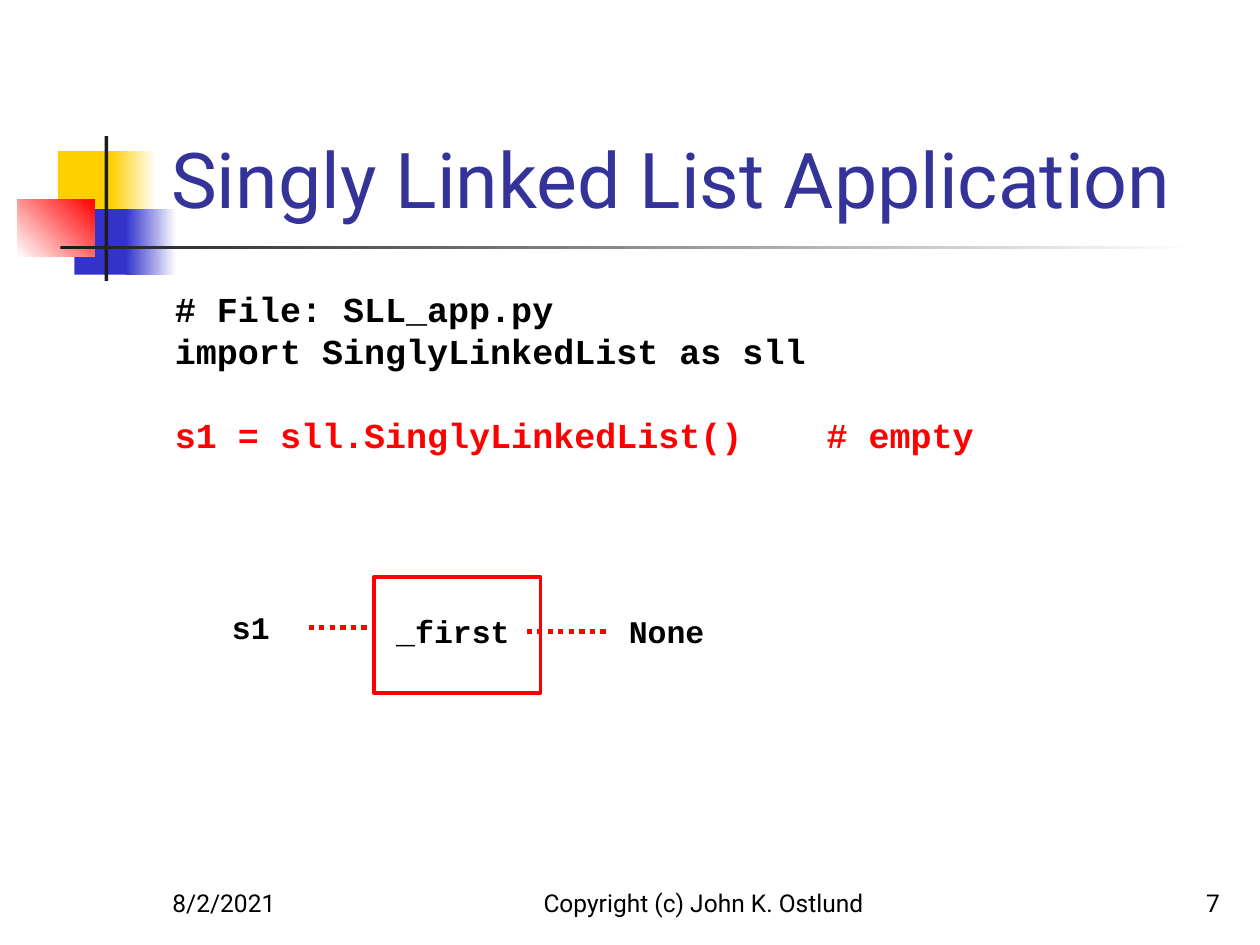
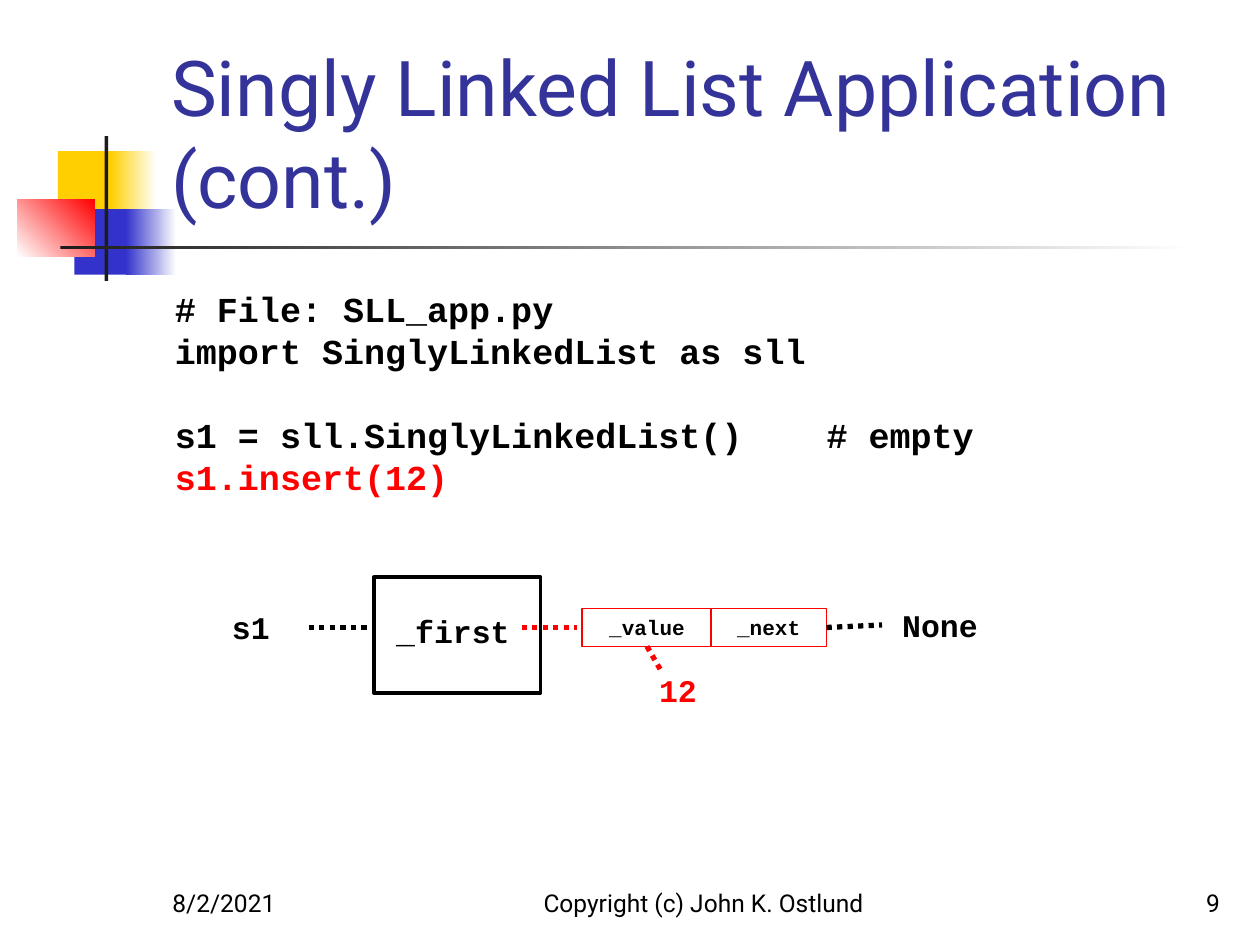
from lxml.etree import SubElement
from pptx import Presentation
from pptx.dml.color import RGBColor
from pptx.enum.dml import MSO_LINE
from pptx.enum.shapes import MSO_CONNECTOR, MSO_SHAPE
from pptx.enum.text import MSO_ANCHOR, MSO_AUTO_SIZE, PP_ALIGN
from pptx.oxml.ns import qn
from pptx.util import Inches, Pt

BLACK = RGBColor(0x00, 0x00, 0x00)
WHITE = RGBColor(0xFF, 0xFF, 0xFF)
RED = RGBColor(0xFF, 0x00, 0x00)
GOLD = RGBColor(0xFF, 0xCF, 0x01)
BLUE = RGBColor(0x33, 0x33, 0xCC)
NAVY = RGBColor(0x33, 0x33, 0x99)
DARK = RGBColor(0x1C, 0x1C, 0x1C)
SANS, MONO = "Roboto", "Courier New"
LEFT, MID, RIGHT = PP_ALIGN.LEFT, PP_ALIGN.CENTER, PP_ALIGN.RIGHT
BOTTOM_SIDE, LEFT_SIDE, RIGHT_SIDE = 2, 1, 3

DECOR = [
    ((0.46, 1.2, 0.48, 0.52), [GOLD], 0),
    ((0.88, 1.2, 0.36, 0.52), [GOLD, WHITE], 0),
    ((0.59, 1.66, 0.46, 0.52), [BLUE], 0),
    ((1, 1.66, 0.4, 0.52), [BLUE, WHITE], 0),
    ((0.14, 1.58, 0.61, 0.46), [WHITE, RED], 45),
    ((0.83, 1.08, 0.03, 1.15), [DARK], 0),
    ((0.48, 1.95, 9, 0.03), [DARK, WHITE], 0),
]
TITLE_AT = (1.26, 0.23, 8.52, 1.6)
CODE_AT = (1.29, 2.23, 8.5, 4.48)
FRAME_AT = (2.97, 4.58, 1.32, 0.92)
DATE, OWNER = "8/2/2021", "Copyright (c) John K. Ostlund"
TITLE = "Singly Linked List Application"
CODE = [
    ["# File: SLL_app.py", "import SinglyLinkedList as sll"],
    ["s1 = sll.SinglyLinkedList()    # empty"],
]
LABELS = [("s1", 1.53, 4.78, 0.92, BLACK), ("_first", 3.01, 4.81, 1.17, BLACK)]
STEM = (("s1", RIGHT_SIDE), (2.93, 4.98))

SLIDES = [
    {
        "title": TITLE, "page": "7", "code": CODE, "frame": RED,
        "labels": LABELS + [("None", 4.83, 4.81, 0.92, BLACK)],
        "cells": [],
        "links": [
            (*STEM, RED),
            (("_first", RIGHT_SIDE), (4.81, 5.01), RED),
        ],
    },
    {
        "title": TITLE + " (cont.)", "page": "9", "frame": BLACK,
        "code": [CODE[0], CODE[1] + ["s1.insert(12)"]],
        "labels": LABELS + [("None", 7, 4.76, 0.92, BLACK),
                            ("12", 4.92, 5.28, 0.92, RED)],
        "cells": [("_value", 4.62, 1.03), ("_next", 5.64, 0.92)],
        "links": [
            (*STEM, BLACK),
            ((4.14, 4.98), (4.58, 4.98), RED),
            (("_value", BOTTOM_SIDE), (5.25, 5.33), RED),
            (("_next", RIGHT_SIDE), ("None", LEFT_SIDE), BLACK),
        ],
    },
]


def place(at):
    return [Inches(v) for v in at]


def write(para, text, size, face, color, bold=False, align=LEFT):
    para.alignment = align
    run = para.add_run()
    run.text = text
    font = run.font
    font.size, font.name, font.bold = Pt(size), face, bold
    font.color.rgb = color


def add_text(slide, at, text, size, face, color, bold, align, anchor):
    box = slide.shapes.add_textbox(*place(at))
    frame = box.text_frame
    frame.word_wrap = True
    frame.vertical_anchor = anchor
    write(frame.paragraphs[0], text, size, face, color, bold, align)
    return box


def add_rect(slide, at, edge=None, width=0):
    box = slide.shapes.add_shape(MSO_SHAPE.RECTANGLE, *place(at))
    box.shadow.inherit = False
    box.fill.background()
    if edge is None:
        box.line.fill.background()
    else:
        box.line.color.rgb = edge
        box.line.width = Pt(width)
    return box


def add_decor(slide):
    for at, tints, angle in DECOR:
        fill = add_rect(slide, at).fill
        if len(tints) == 1:
            fill.solid()
            fill.fore_color.rgb = tints[0]
        else:
            fill.gradient()
            fill.gradient_angle = angle
            for stop, tint in zip(fill.gradient_stops, tints):
                stop.color.rgb = tint


def add_title(slide, text):
    title = slide.shapes.title
    title.left, title.top, title.width, title.height = place(TITLE_AT)
    frame = title.text_frame
    frame.auto_size = MSO_AUTO_SIZE.NONE
    frame.word_wrap = True
    frame.vertical_anchor = MSO_ANCHOR.BOTTOM
    write(frame.paragraphs[0], text, 44, SANS, NAVY)
    slide.shapes._spTree.append(title._element)


def add_foot(slide, page):
    for text, left, width, align in [(page, 7.7, 2.08, RIGHT),
                                     (DATE, 1.27, 2.08, LEFT),
                                     (OWNER, 4, 3.17, MID)]:
        add_text(slide, (left, 6.83, width, 0.5), text, 14, SANS, BLACK,
                 False, align, MSO_ANCHOR.BOTTOM)


def add_code(slide, blocks):
    frame = slide.shapes.add_textbox(*place(CODE_AT)).text_frame
    frame.word_wrap = True
    last = blocks[-1][-1]
    for b, block in enumerate(blocks):
        for n, line in enumerate(block):
            first = b == 0 and n == 0
            para = frame.paragraphs[0] if first else frame.add_paragraph()
            para.line_spacing = Pt(24)
            if b and n == 0:
                para.space_before = Pt(24)
            write(para, line, 20, MONO, RED if line == last else BLACK, True)


def add_link(slide, nodes, start, end, color):
    line = slide.shapes.add_connector(MSO_CONNECTOR.STRAIGHT, 0, 0, 0, 0)
    if start[0] in nodes:
        line.begin_connect(nodes[start[0]], start[1])
    else:
        line.begin_x, line.begin_y = place(start)
    if end[0] in nodes:
        line.end_connect(nodes[end[0]], end[1])
    else:
        line.end_x, line.end_y = place(end)
    line.line.color.rgb = color
    line.line.width = Pt(3)
    line.line.dash_style = MSO_LINE.ROUND_DOT
    SubElement(line._element.spPr, qn("a:effectLst"))


def add_graph(slide, data):
    nodes = {}
    add_rect(slide, FRAME_AT, data["frame"], 2.25)
    for text, left, top, width, color in data["labels"]:
        nodes[text] = add_text(slide, (left, top, width, 0.4), text, 18, MONO,
                               color, True, MID, MSO_ANCHOR.TOP)
    for text, left, width in data["cells"]:
        cell = add_rect(slide, (left, 4.83, width, 0.3), RED, 0.75)
        write(cell.text_frame.paragraphs[0], text, 12, MONO, BLACK, True, MID)
        nodes[text] = cell
    for start, end, color in data["links"]:
        add_link(slide, nodes, start, end, color)


def main():
    """Build the linked list slides."""
    deck = Presentation()
    deck.slide_width, deck.slide_height = Inches(10), Inches(7.5)
    for data in SLIDES:
        slide = deck.slides.add_slide(deck.slide_layouts[5])
        add_decor(slide)
        add_title(slide, data["title"])
        add_code(slide, data["code"])
        add_foot(slide, data["page"])
        add_graph(slide, data)
    deck.save("out.pptx")


if __name__ == "__main__":
    main()
